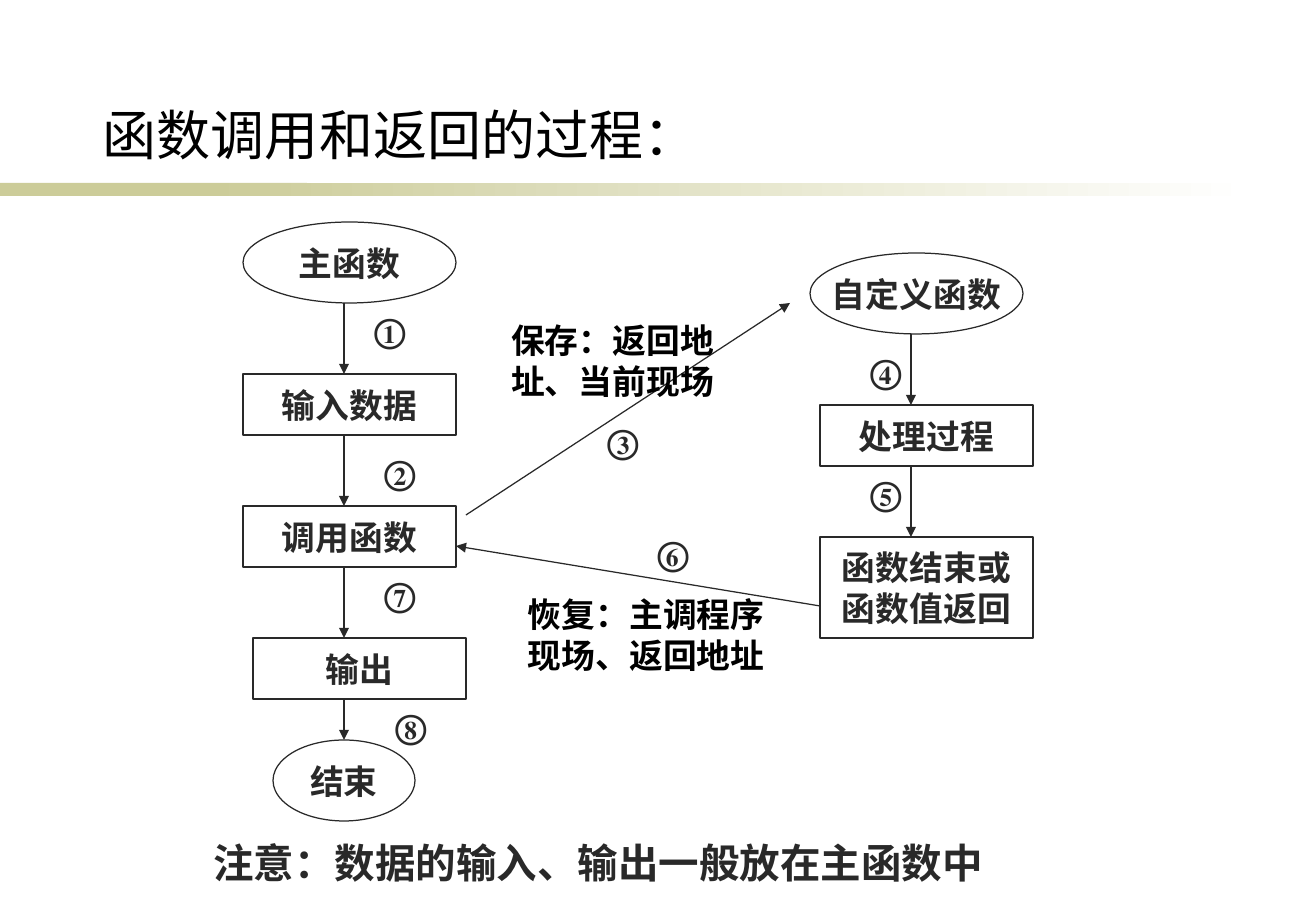
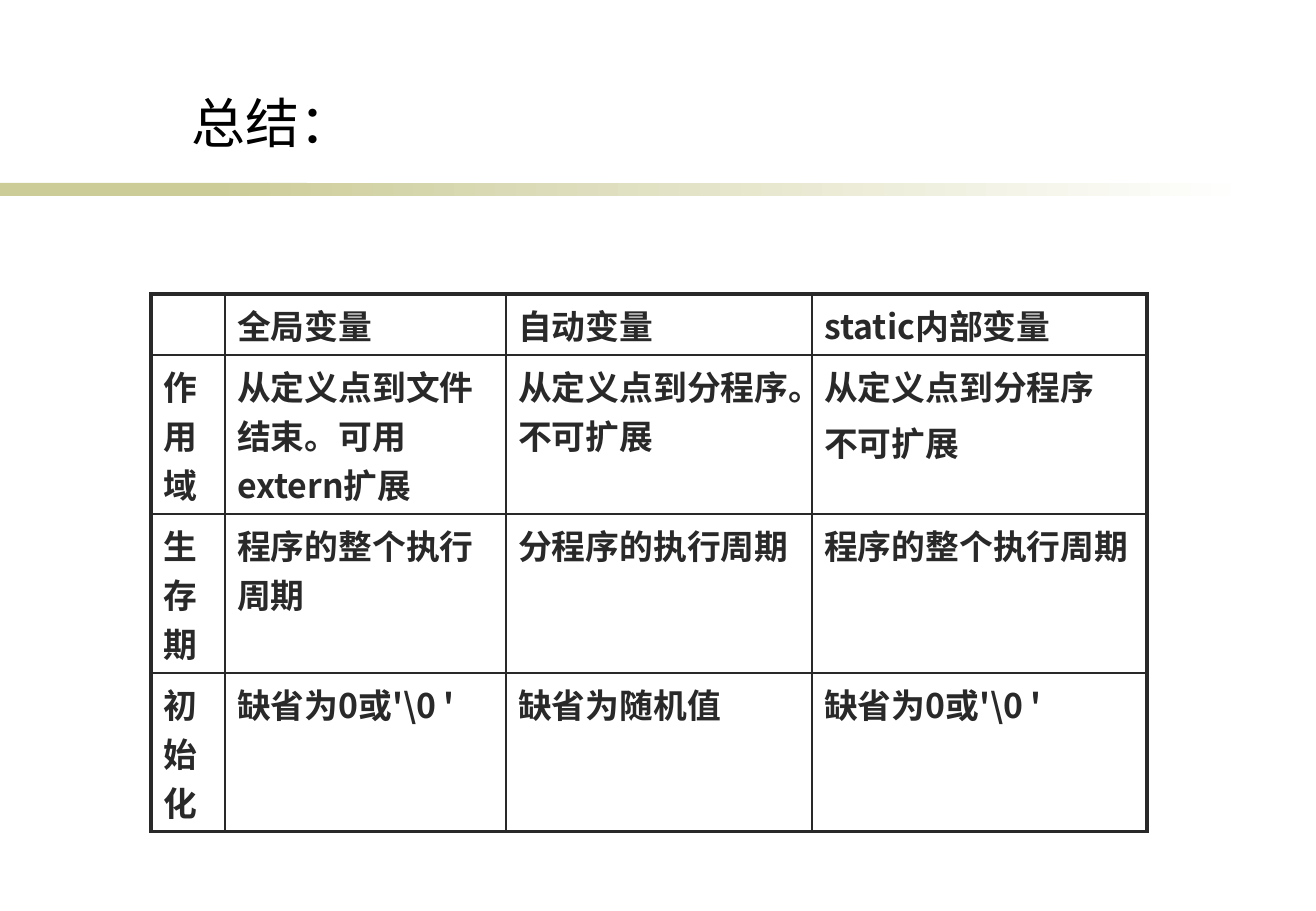
from pptx import Presentation
from pptx.dml.color import RGBColor
from pptx.enum.shapes import MSO_CONNECTOR, MSO_SHAPE
from pptx.enum.text import MSO_ANCHOR, PP_ALIGN
from pptx.oxml.ns import qn
from pptx.util import Pt
from lxml.etree import SubElement

SCALE = 914400 / 121.5
COLORS = {"ink": "292929", "black": "000000", "band": "CCCC99", "paper": "FFFFFF"}
SERIF, SANS, TITLE_FONT = "Times New Roman", "Noto Sans CJK SC", "Noto Sans CJK JP"
LINE_FACTOR = 1.215

# Text styles: attributes of the font, plus the East Asian font
TITLE = {"size": Pt(32), "name": TITLE_FONT, "bold": False}
BODY = {"size": Pt(20), "name": SERIF, "bold": True}
NOTE = {**BODY, "size": Pt(24)}
CELL = {**BODY, "name": SANS}


def px(n):
    return round(n * SCALE)


def rgb(name):
    return RGBColor.from_string(COLORS[name])


def write(tf, text, style, color="ink", align=None, ea=SANS, pitch=True, before=0):
    """Fill a text frame, one paragraph per line of text."""
    for i, line in enumerate(text.split("\n")):
        p = tf.add_paragraph() if i else tf.paragraphs[0]
        p.alignment = align
        if pitch:
            p.line_spacing = Pt(round(style["size"].pt * LINE_FACTOR, 1))
        if i and before:
            p.space_before = Pt(before)
        r = p.add_run()
        r.text = line
        for key, value in style.items():
            setattr(r.font, key, value)
        r.font.color.rgb = rgb(color)
        SubElement(r._r.get_or_add_rPr(), qn("a:ea")).set("typeface", ea)


def add_text(s, text, box, style, wrap=True, **options):
    tf = s.shapes.add_textbox(*map(px, box)).text_frame
    tf.word_wrap = wrap
    write(tf, text, style, **options)


def add_node(s, text, kind, box):
    sp = s.shapes.add_shape(kind, *map(px, box))
    sp.shadow.inherit = False
    sp.fill.background()
    sp.line.color.rgb = rgb("ink")
    sp.line.width = Pt(0.75)
    tf = sp.text_frame
    tf.word_wrap = False
    tf.vertical_anchor = MSO_ANCHOR.MIDDLE
    write(tf, text, BODY, align=PP_ALIGN.CENTER)


def add_arrow(s, start, end):
    c = s.shapes.add_connector(MSO_CONNECTOR.STRAIGHT, *map(px, start + end))
    c.line.color.rgb = rgb("ink")
    c.line.width = Pt(0.75)
    SubElement(c.line._get_or_add_ln(), qn("a:tailEnd")).set("type", "triangle")
    SubElement(c._element.spPr, qn("a:effectLst"))


def add_step(s, number, x, y):
    add_text(s, number, (x, y, 112, 52), BODY, align=PP_ALIGN.CENTER, ea=SERIF)


def add_base(prs, title, box, wrap=True):
    """Blank slide with the fading band and a title."""
    s = prs.slides.add_slide(prs.slide_layouts[6])
    for x, w, fades in ((0, 307, False), (209, 1043, True)):
        sp = s.shapes.add_shape(MSO_SHAPE.RECTANGLE, *map(px, (x, 183, w, 13)))
        sp.shadow.inherit = False
        sp.line.fill.background()
        if fades:
            sp.fill.gradient()
            sp.fill.gradient_angle = 0
            for stop, name in zip(sp.fill.gradient_stops, ("band", "paper")):
                stop.color.rgb = rgb(name)
        else:
            sp.fill.solid()
            sp.fill.fore_color.rgb = rgb("band")
    add_text(s, title, box, TITLE, wrap, color="black", ea=TITLE_FONT)
    return s


def add_flow(s, x, y, nodes):
    """Column of nodes; each step is (number, dx, dy, gap to the next node)."""
    for text, kind, dx, w, h, step in nodes:
        add_node(s, text, kind, (x + dx, y, w, h))
        y += h
        if step:
            number, step_dx, step_dy, gap = step
            add_arrow(s, (x + 101, y), (x + 101, y + gap))
            add_step(s, number, x + step_dx, y + step_dy)
            y += gap


def set_border(cell, side, width):
    ln = SubElement(cell._tc.get_or_add_tcPr(), qn(f"a:ln{side}"), w=str(Pt(width)))
    fill = SubElement(ln, qn("a:solidFill"))
    SubElement(fill, qn("a:srgbClr"), val=COLORS["ink"])


def add_grid(s, x, y, widths, heights, rows):
    """Table with a heavy frame and thin inner rules."""
    box = (x, y, sum(widths), sum(heights))
    table = s.shapes.add_table(len(rows), len(widths), *map(px, box)).table
    table.first_row = table.horz_banding = False
    for column, w in zip(table.columns, widths):
        column.width = px(w)
    for row, h in zip(table.rows, heights):
        row.height = px(h)
    for i, row in enumerate(rows):
        for j, text in enumerate(row):
            cell = table.cell(i, j)
            edges = {"L": j == 0, "R": j == len(row) - 1,
                     "T": i == 0, "B": i == len(rows) - 1}
            for side, outer in edges.items():
                set_border(cell, side, 2.25 if outer else 1)
            cell.fill.solid()
            cell.fill.fore_color.rgb = rgb("paper")
            if text:
                write(cell.text_frame, text, CELL, pitch=False, before=4)


def call_slide(prs):
    s = add_base(prs, "函数调用和返回的过程：", (91, 95, 708, 78))
    oval, rect = MSO_SHAPE.OVAL, MSO_SHAPE.RECTANGLE
    # Main function
    add_flow(s, 243, 222, [
        ("主函数", oval, 0, 213, 81, ("①", 91, 0, 71)),
        ("输入数据", rect, 0, 213, 61, ("②", 101, 10, 71)),
        ("调用函数", rect, 0, 213, 61, ("⑦", 101, 0, 71)),
        ("输出", rect, 10, 213, 61, ("⑧", 112, 0, 41)),
        ("结束", oval, 30, 142, 81, None)])
    # User-defined function
    add_flow(s, 810, 253, [
        ("自定义函数", oval, 0, 213, 81, ("④", 20, 10, 71)),
        ("处理过程", rect, 10, 213, 61, ("⑤", 20, 0, 71)),
        ("函数结束或\n函数值返回", rect, 10, 213, 101, None)])
    # Call and return
    add_arrow(s, (466, 515), (790, 303))
    add_arrow(s, (820, 606), (456, 546))
    add_step(s, "③", 567, 414)
    add_step(s, "⑥", 617, 526)
    add_text(s, "保存：返回地址、当前现场", (496, 313, 233, 94), BODY,
             color="black", align=PP_ALIGN.CENTER)
    add_text(s, "恢复：主调程序现场、返回地址", (516, 587, 264, 94), BODY, color="black")
    # Closing note
    add_text(s, "注意：数据的输入、输出一般放在主函数中", (56, 831, 1084, 61), NOTE,
             align=PP_ALIGN.CENTER)


def summary_slide(prs):
    s = add_base(prs, "总结：", (180, 83, 188, 78), wrap=False)
    add_grid(s, 151, 294, (74, 281, 306, 335), (61, 159, 159, 159), [
        ("", "全局变量", "自动变量", "static内部变量"),
        ("作用域", "从定义点到文件结束。可用extern扩展",
         "从定义点到分程序。不可扩展", "从定义点到分程序\n不可扩展"),
        ("生存期", "程序的整个执行周期", "分程序的执行周期", "程序的整个执行周期"),
        ("初始化", "缺省为0或'\\0 '", "缺省为随机值", "缺省为0或'\\0 '")])


prs = Presentation()
prs.slide_width, prs.slide_height = px(1316), px(911)
call_slide(prs)
summary_slide(prs)
prs.save("out.pptx")
